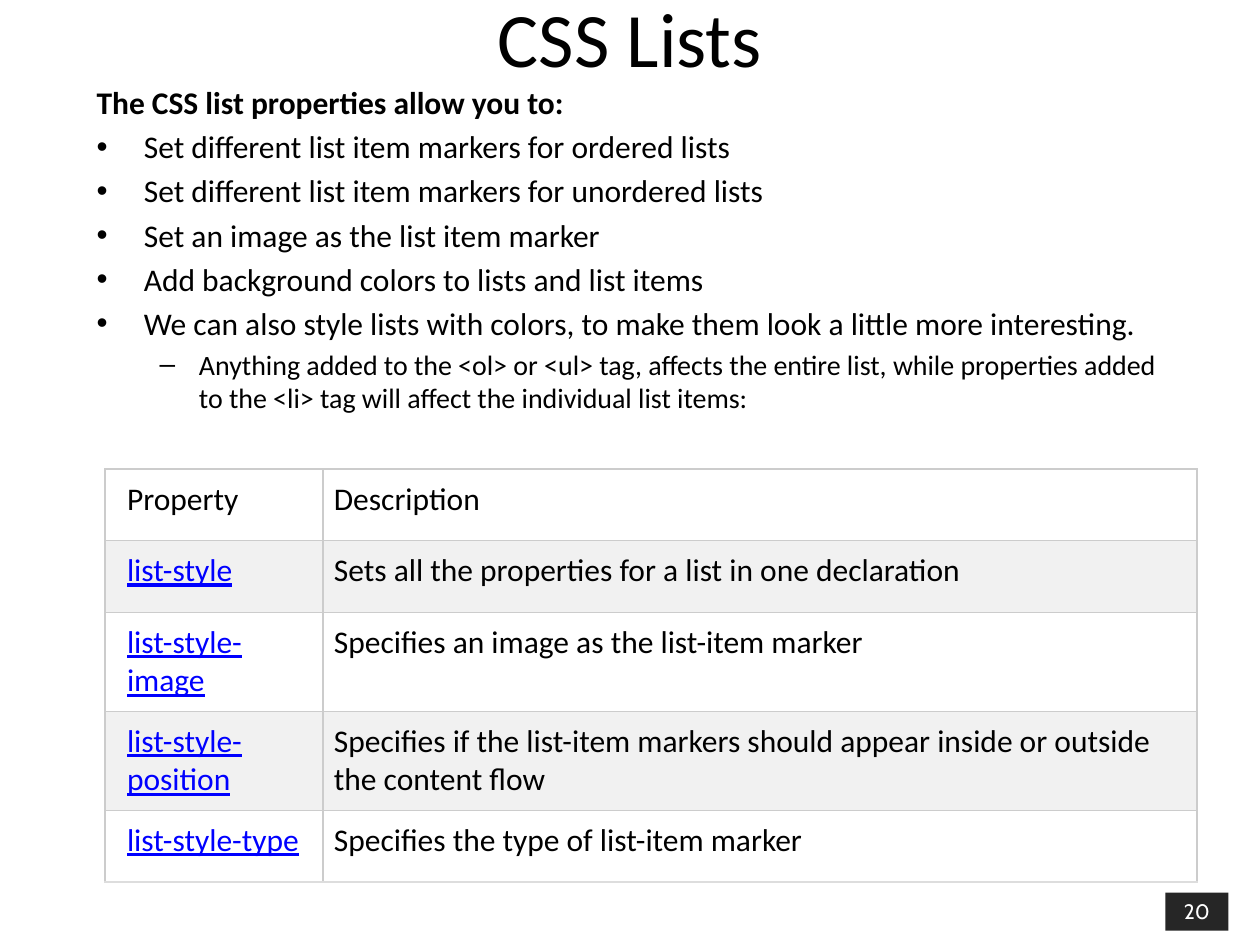
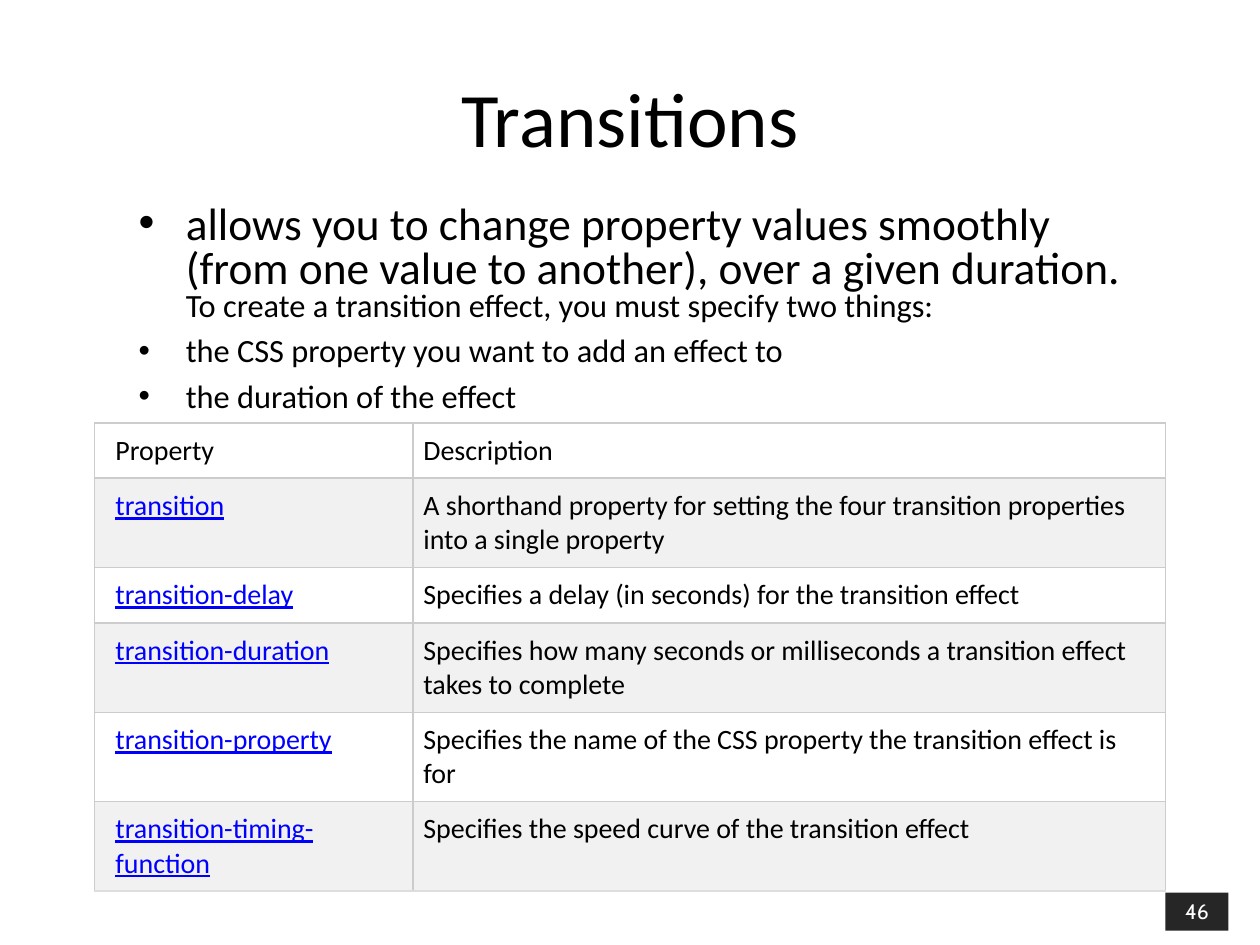
from dataclasses import dataclass

from lxml.etree import SubElement
from pptx import Presentation
from pptx.dml.color import RGBColor
from pptx.enum.shapes import MSO_SHAPE
from pptx.enum.text import MSO_ANCHOR, MSO_AUTO_SIZE, PP_ALIGN
from pptx.oxml.ns import qn
from pptx.util import Pt


@dataclass(frozen=True)
class Theme:
    font: str = "Calibri"
    number_font: str = "Cabin"
    text: str = "000000"
    link: str = "0000FF"
    paper: str = "FFFFFF"
    band: str = "F1F1F1"
    border: str = "CCCCCC"
    bottom_border: str = "DDDDDD"
    number_box: str = "262626"
    title_size: float = 44
    number_size: float = 12


THEME = Theme()

# Boxes are left, top, width, height in points.
# A body line is (text, level, run sizes, is a heading); "\v" breaks the line.
SLIDES = [
    {
        "title": "CSS Lists",
        "number": "20",
        "title_box": (36, -2, 648, 46),
        "body_box": (48, 44, 636, 186.5),
        "body": [
            ("The CSS list properties allow you to:", 0, [18], True),
            ("Set different list item markers for ordered lists", 0, [18], False),
            ("Set different list item markers for unordered lists", 0, [18], False),
            ("Set an image as the list item marker", 0, [18], False),
            ("Add background colors to lists and list items", 0, [18], False),
            ("We can also style lists with colors, to make them look a little "
             "more interesting.", 0, [18], False),
            ("Anything added to the <ol> or <ul> tag, affects the entire list, "
             "while properties added to the <li> tag will affect the individual "
             "list items:", 1, [16], False),
        ],
        "first_line_spacing": 1.0,
        "table_origin": (60, 268),
        "columns": (124.5, 499.5),
        "row_heights": (41, 41, 41, 44.6, 41),
        "table_size": 18,
        "cell_margin": 6.3,
        "rows": [
            ("Property", "Description"),
            ("list-style", "Sets all the properties for a list in one declaration"),
            ("list-style-image", "Specifies an image as the list-item marker"),
            ("list-style-position", "Specifies if the list-item markers should "
             "appear inside or outside the content flow"),
            ("list-style-type", "Specifies the type of list-item marker"),
        ],
    },
    {
        "title": "Transitions",
        "number": "46",
        "title_box": (36, 21.6, 648, 90),
        "body_box": (72, 114, 582.5, 127.5),
        "body": [
            ("allows you to change property values smoothly (from one value to "
             "another), over a given duration.\vTo create a transition effect, "
             "you must specify two things:", 0, [25.9, 18.5], False),
            ("the CSS property you want to add an effect to", 0, [18.5], False),
            ("the duration of the effect", 0, [18.5], False),
        ],
        "first_line_spacing": 0.8,
        "table_origin": (54, 241.7),
        "columns": (182, 430),
        "row_heights": (27.4, 44.6, 27.4, 44.6, 44.6, 44.6),
        "table_size": 16,
        "cell_margin": 6,
        "rows": [
            ("Property", "Description"),
            ("transition", "A shorthand property for setting the four transition "
             "properties into a single property"),
            ("transition-delay",
             "Specifies a delay (in seconds) for the transition effect"),
            ("transition-duration", "Specifies how many seconds or milliseconds "
             "a transition effect takes to complete"),
            ("transition-property", "Specifies the name of the CSS property the "
             "transition effect is for"),
            ("transition-timing-function",
             "Specifies the speed curve of the transition effect"),
        ],
    },
]


def format_run(run, size, color=THEME.text, name=THEME.font):
    run.font.name = name
    run.font.size = Pt(size)
    run.font.color.rgb = RGBColor.from_string(color)


def add_cell_borders(cell, bottom_color):
    properties = cell._tc.get_or_add_tcPr()
    for side in "LRTB":
        line = SubElement(properties, qn(f"a:ln{side}"), w=str(Pt(1)))
        fill = SubElement(line, qn("a:solidFill"))
        color = bottom_color if side == "B" else THEME.border
        SubElement(fill, qn("a:srgbClr"), val=color)


presentation = Presentation()
presentation.slide_width, presentation.slide_height = Pt(720), Pt(540)
layout = presentation.slide_layouts[1]

for content in SLIDES:
    slide = presentation.slides.add_slide(layout)
    title, body = slide.shapes.title, slide.placeholders[1]
    for shape, box in ((title, content["title_box"]), (body, content["body_box"])):
        shape.left, shape.top, shape.width, shape.height = map(Pt, box)
        shape.text_frame.auto_size = MSO_AUTO_SIZE.NONE

    title.text_frame.text = content["title"]
    title.text_frame.vertical_anchor = MSO_ANCHOR.MIDDLE
    title_paragraph = title.text_frame.paragraphs[0]
    title_paragraph.alignment = PP_ALIGN.CENTER
    format_run(title_paragraph.runs[0], THEME.title_size)

    # Bullets, indents and gaps come from the template's body levels.
    for index, (text, level, sizes, is_heading) in enumerate(content["body"]):
        frame = body.text_frame
        paragraph = frame.add_paragraph() if index else frame.paragraphs[0]
        paragraph.text = text
        paragraph.level = level
        if index == 0:
            paragraph.space_before = Pt(0)
            paragraph.line_spacing = content["first_line_spacing"]
        if is_heading:
            properties = paragraph._p.get_or_add_pPr()
            properties.set("marL", "0")
            properties.set("indent", "0")
            SubElement(properties, qn("a:buNone"))
        for run, size in zip(paragraph.runs, sizes):
            format_run(run, size)
            run.font.bold = is_heading
        for line_break in paragraph._p.findall(qn("a:br")):
            SubElement(line_break, qn("a:rPr"), sz=str(round(sizes[0] * 100)))

    rows, columns = content["rows"], content["columns"]
    heights = content["row_heights"]
    left, top = content["table_origin"]
    table = slide.shapes.add_table(
        len(rows), len(columns), Pt(left), Pt(top), Pt(sum(columns)), Pt(sum(heights))
    ).table
    table.first_row = table.horz_banding = False
    for column, width in zip(table.columns, columns):
        column.width = Pt(width)
    margin = content["cell_margin"]
    for row_index, row in enumerate(rows):
        table.rows[row_index].height = Pt(heights[row_index])
        is_last = row_index == len(rows) - 1
        for column_index, text in enumerate(row):
            cell = table.cell(row_index, column_index)
            cell.text_frame.text = text
            cell.margin_left = Pt(margin if column_index else 2 * margin)
            cell.margin_top = cell.margin_right = cell.margin_bottom = Pt(margin)
            add_cell_borders(cell, THEME.bottom_border if is_last else THEME.border)
            cell.fill.solid()
            cell.fill.fore_color.rgb = RGBColor.from_string(
                THEME.band if row_index % 2 else THEME.paper)
            is_property = row_index > 0 and column_index == 0
            run = cell.text_frame.paragraphs[0].runs[0]
            format_run(run, content["table_size"],
                       THEME.link if is_property else THEME.text)
            run.font.underline = is_property

    number_box = slide.shapes.add_shape(
        MSO_SHAPE.RECTANGLE, Pt(666), Pt(510), Pt(36), Pt(21.8))
    number_box.shadow.inherit = False
    number_box.fill.solid()
    number_box.fill.fore_color.rgb = RGBColor.from_string(THEME.number_box)
    number_box.line.fill.background()
    number_box.text_frame.text = content["number"]
    number_box.text_frame.auto_size = MSO_AUTO_SIZE.SHAPE_TO_FIT_TEXT
    number_paragraph = number_box.text_frame.paragraphs[0]
    number_paragraph.alignment = PP_ALIGN.CENTER
    format_run(number_paragraph.runs[0], THEME.number_size, THEME.paper,
               THEME.number_font)

presentation.save("out.pptx")
